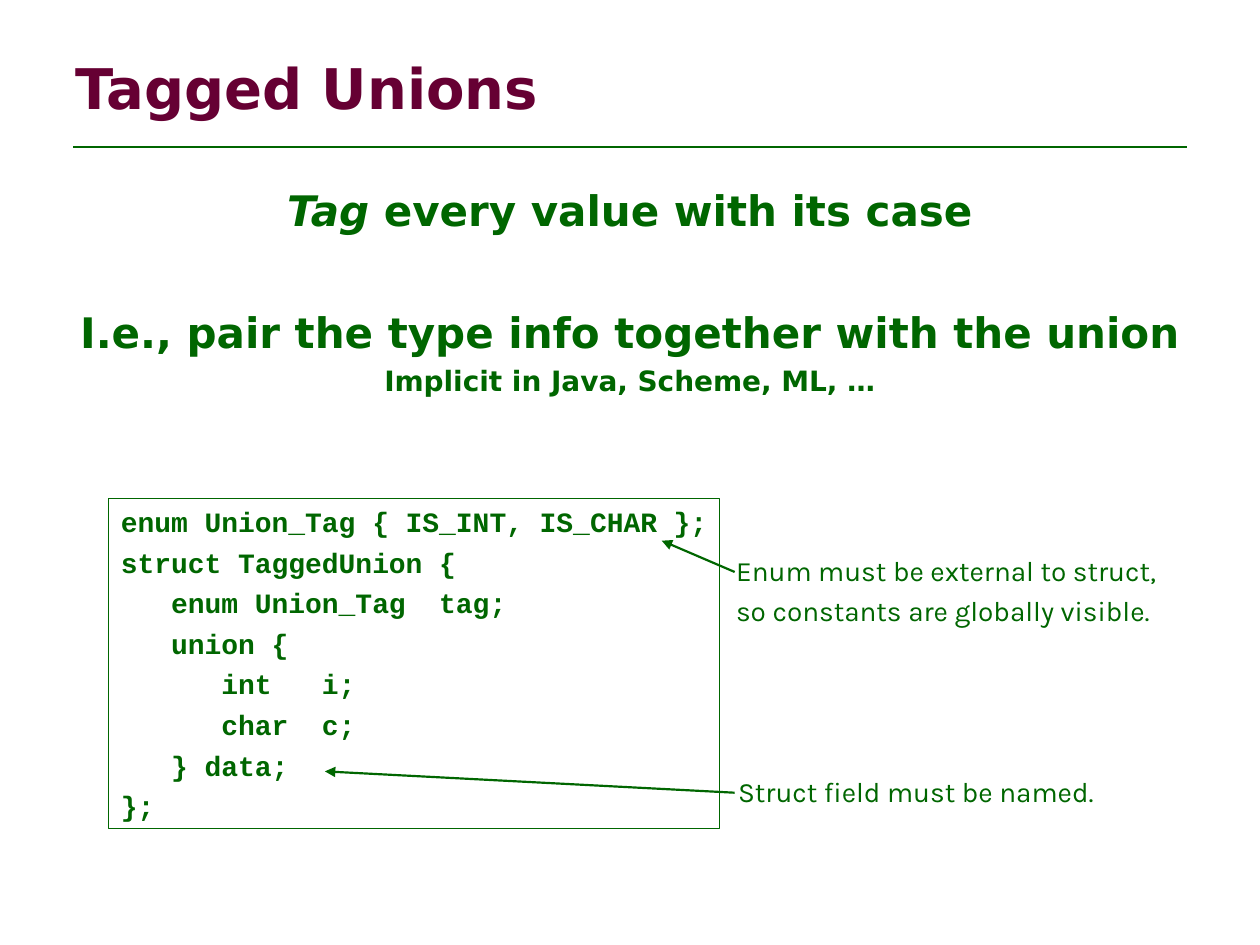
from dataclasses import dataclass

from lxml import etree
from pptx import Presentation, util as u
from pptx.dml.color import RGBColor
from pptx.enum import shapes, text
from pptx.oxml.ns import qn

COLORS = {"green": "006600", "maroon": "660033"}
HEADING_FONT, NOTE_FONT, CODE_FONT = "DejaVu Sans", "Karla", "Courier New"
LINE_GAP = 4

CODE = """enum Union_Tag { IS_INT, IS_CHAR };
struct TaggedUnion {
   enum Union_Tag  tag;
   union {
      int   i;
      char  c;
   } data;
};"""


@dataclass
class Box:
    left: float
    top: float
    width: float
    height: float

    def lengths(self) -> list:
        return [u.Cm(v) for v in (self.left, self.top, self.width, self.height)]


@dataclass
class Note:
    box: Box
    lines: list[str]
    start: tuple[float, float]
    target: tuple[float, float]


NOTES = [
    Note(Box(14.59, 11.03, 9.17, 1.75),
         ["Enum must be external to struct,", "so constants are globally visible."],
         (14.81, 11.53), (13.34, 10.9)),
    Note(Box(14.63, 15.48, 7.82, 0.94),
         ["Struct field must be named."],
         (14.81, 15.98), (6.55, 15.55)),
]


def rgb(name: str) -> RGBColor:
    return RGBColor.from_string(COLORS[name])


def add_run(p, content: str, *, size: float, font: str, color: str = "green",
            bold: bool = False, italic: bool = False) -> None:
    r = p.add_run()
    r.text = content
    r.font.size = u.Pt(size)
    r.font.name = font
    r.font.bold = bold
    r.font.italic = italic
    r.font.color.rgb = rgb(color)


def add_paragraph(tf, index: int, *, before: float = 0,
                  align=text.PP_ALIGN.LEFT):
    p = tf.add_paragraph() if index else tf.paragraphs[0]
    p.alignment = align
    p.space_before = u.Pt(before if index else 0)
    return p


def add_lines(tf, lines: list[str], **style) -> None:
    for i, line in enumerate(lines):
        add_run(add_paragraph(tf, i, before=LINE_GAP), line, **style)


def add_text_frame(s, box: Box, *, wrap: bool = True,
                   anchor=text.MSO_ANCHOR.TOP):
    tf = s.shapes.add_textbox(*box.lengths()).text_frame
    tf.word_wrap = wrap
    tf.vertical_anchor = anchor
    return tf


def add_line(s, start: tuple[float, float], end: tuple[float, float], *,
             width: float, arrow: bool = False) -> None:
    c = s.shapes.add_connector(shapes.MSO_CONNECTOR.STRAIGHT,
                               *[u.Cm(v) for v in (*start, *end)])
    c.line.color.rgb = rgb("green")
    c.line.width = u.Pt(width)
    if arrow:
        ln = c.line._get_or_add_ln()
        etree.SubElement(ln, qn("a:tailEnd"), type="triangle")
    etree.SubElement(c._element.spPr, qn("a:effectLst"))


def add_heading(s) -> None:
    add_line(s, (1.48, 2.96), (23.92, 2.96), width=1.5)
    tf = add_text_frame(s, Box(1.27, 0.76, 22.86, 1.98),
                        anchor=text.MSO_ANCHOR.MIDDLE)
    add_run(add_paragraph(tf, 0), "Tagged Unions", size=32,
            font=HEADING_FONT, color="maroon", bold=True)


def add_body(s) -> None:
    tf = add_text_frame(s, Box(1.27, 3.59, 22.86, 5.13))
    paragraphs = [
        (24, 0, [("Tag", True), (" every value with its case", False)]),
        (24, 41, [("I.e., pair the type info together with the union", False)]),
        (16, LINE_GAP, [("Implicit in Java, Scheme, ML, …", False)]),
    ]
    for i, (size, before, runs) in enumerate(paragraphs):
        p = add_paragraph(tf, i, before=before, align=text.PP_ALIGN.CENTER)
        for content, italic in runs:
            add_run(p, content, size=size, font=HEADING_FONT, bold=True,
                    italic=italic)


def add_note(s, note: Note) -> None:
    tf = add_text_frame(s, note.box, wrap=False)
    add_lines(tf, note.lines, size=16, font=NOTE_FONT)
    add_line(s, note.start, note.target, width=1.25, arrow=True)


def add_code(s) -> None:
    sp = s.shapes.add_shape(shapes.MSO_SHAPE.RECTANGLE,
                            *Box(2.19, 10.05, 12.32, 6.65).lengths())
    sp.shadow.inherit = False
    sp.fill.background()
    sp.line.color.rgb = rgb("green")
    sp.line.width = u.Pt(0.75)
    tf = sp.text_frame
    tf.word_wrap = False
    tf.vertical_anchor = text.MSO_ANCHOR.TOP
    add_lines(tf, CODE.splitlines(), size=16, font=CODE_FONT, bold=True)


def main() -> None:
    prs = Presentation()
    prs.slide_width, prs.slide_height = u.Cm(25.4), u.Cm(19.05)
    s = prs.slides.add_slide(prs.slide_layouts[6])
    add_heading(s)
    add_body(s)
    for note in NOTES:
        add_note(s, note)
    add_code(s)
    prs.save("out.pptx")


if __name__ == "__main__":
    main()
